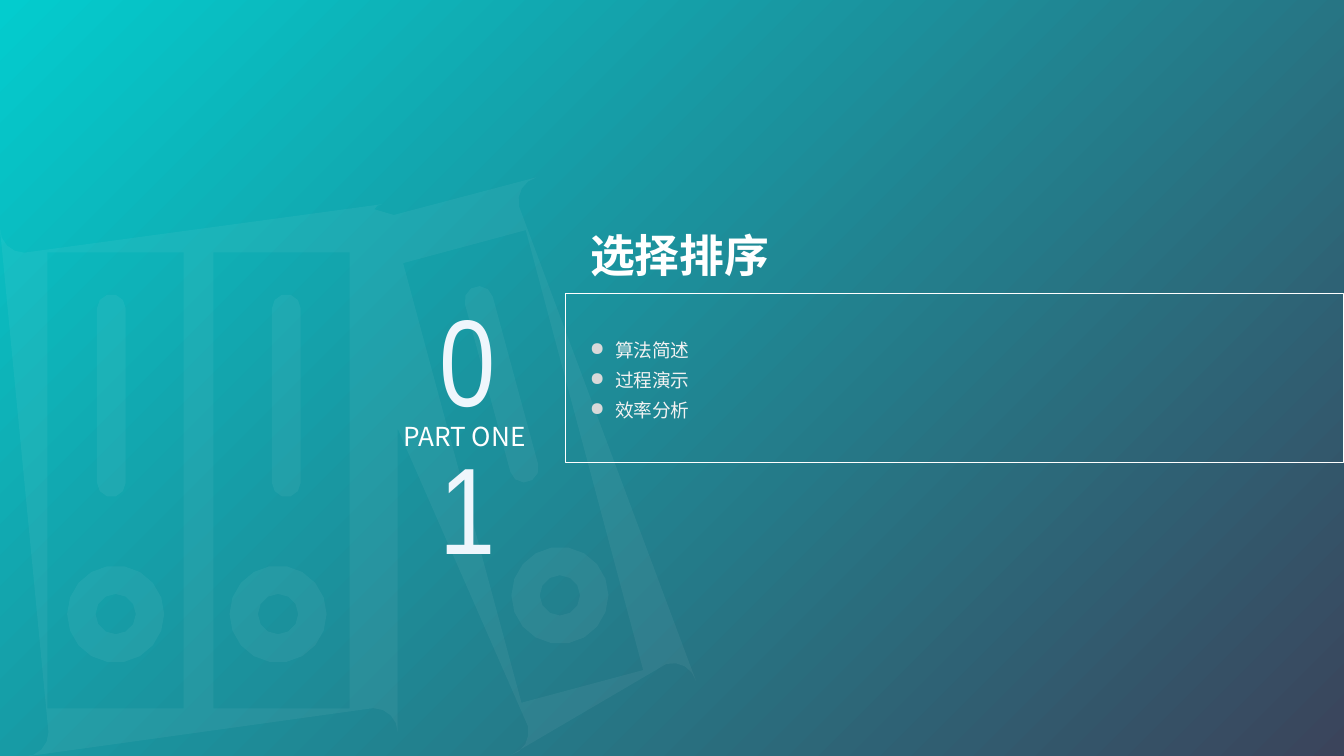
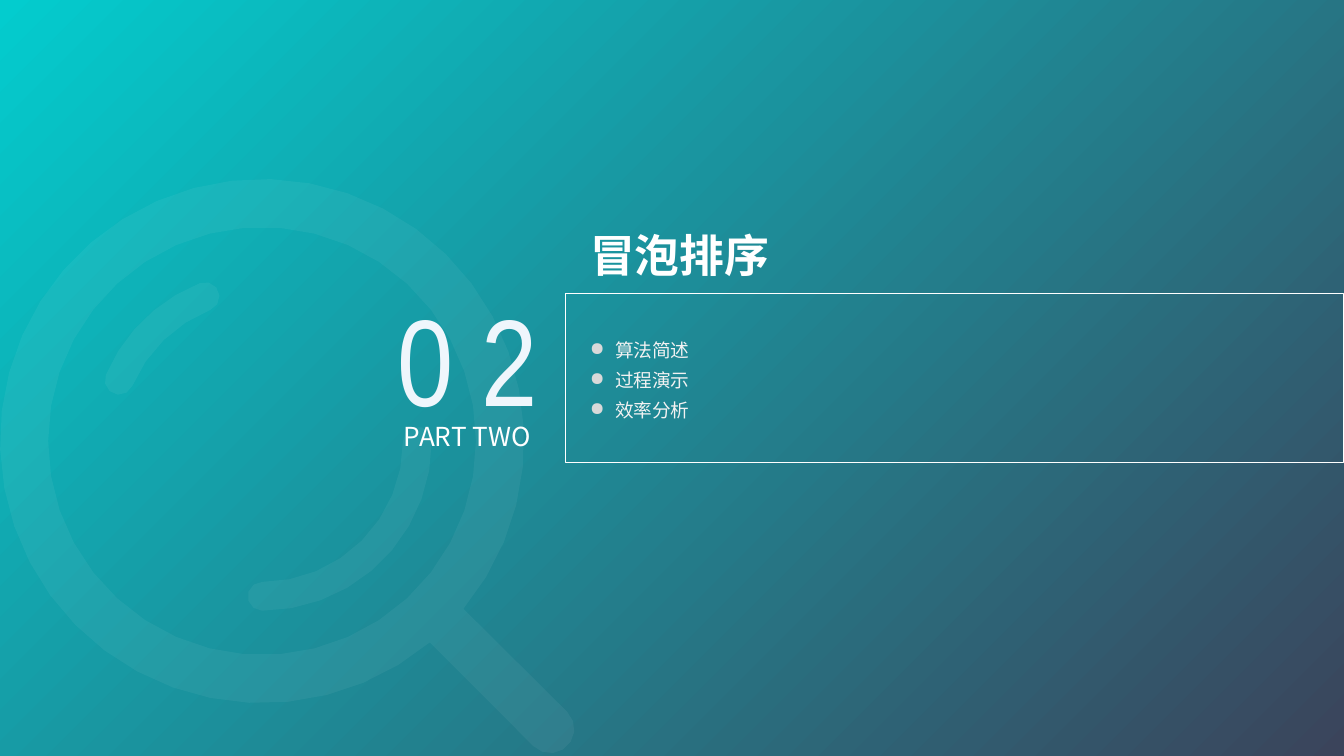
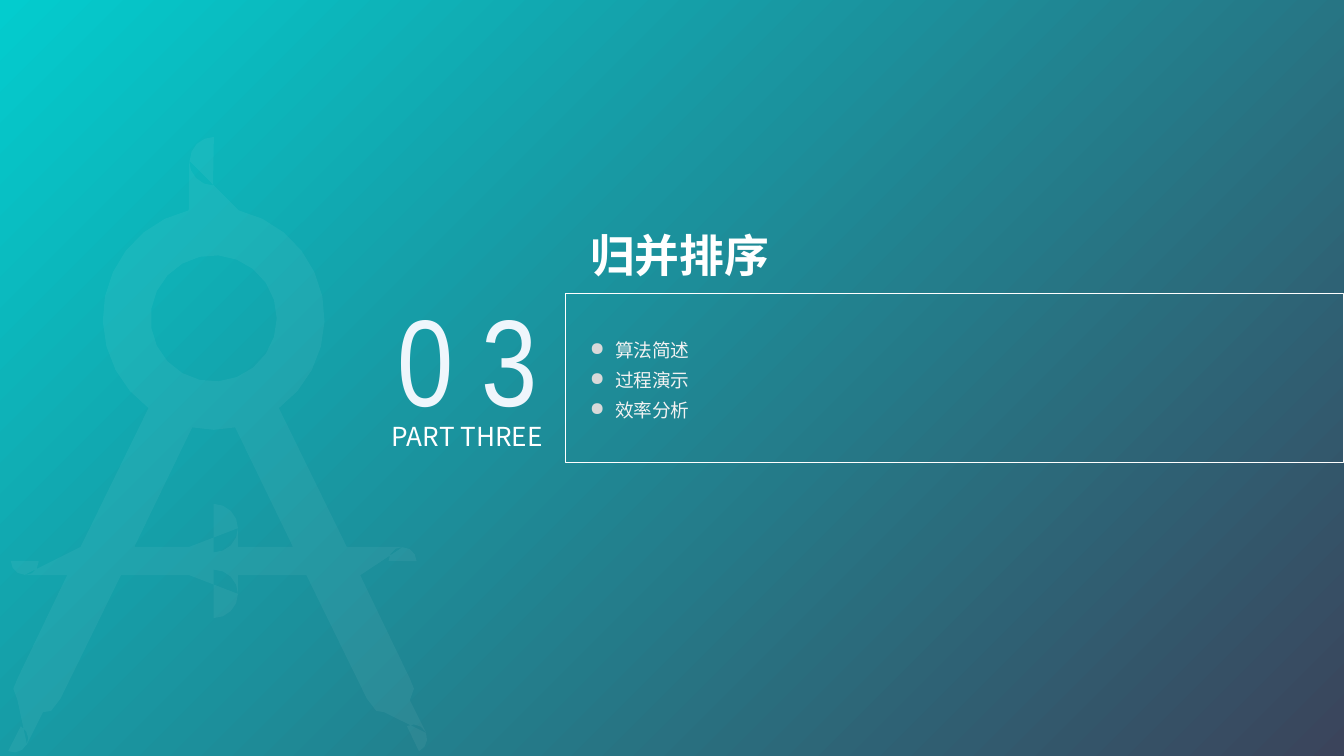
import math

from lxml import etree
from pptx import Presentation
from pptx.dml.color import RGBColor
from pptx.enum import shapes, text
from pptx.oxml.ns import qn
from pptx.util import Pt

# Content: one entry per section; widths are those of the number, part and title boxes
SECTIONS = [
    dict(title="选择排序", number="0 1", part="PART ONE ", icon="binders",
         widths=(87.1, 86.4, 118.8)),
    dict(title="冒泡排序", number="0 2", part="PART TWO", icon="magnifier",
         widths=(95.8, 95, 289.4)),
    dict(title="归并排序", number="0 3", part="PART THREE", icon="compass",
         widths=(97.2, 106.6, 289.4)),
]
TOPICS = ["算法简述", "过程演示", "效率分析"]

# Shared style and layout
SANS, NARROW = "Noto Sans CJK SC", "Arial Narrow"
WHITE, PALE, TOPIC_GREY, BULLET_GREY = "FFFFFF", "EFF6FC", "F2F2F2", "D9D9D9"
BACKDROP = ("03CCCE", "3B445B")
SLIDE_W, SLIDE_H = 720, 405
FRAME_X, FRAME_Y, FRAME_H = 303.2, 157, 90.7
TEXT_X = 309
NUMBER_MID = 250.4
INDENT = 13.5
FLATNESS = 0.4  # largest gap between an arc and its chords


def rgb(value):
    return RGBColor.from_string(value)


def sub(parent, tag, **attributes):
    return etree.SubElement(parent, qn(tag), attributes)


# Contours: each returns a list of (x, y) points
def arc(cx, cy, r, start, end):
    step = 2 * math.degrees(math.acos(1 - FLATNESS / r))
    steps = max(2, math.ceil(abs(end - start) / step))
    angles = [math.radians(start + (end - start) * i / steps) for i in range(steps + 1)]
    return [(cx + r * math.cos(a), cy + r * math.sin(a)) for a in angles]


def circle(cx, cy, r):
    return arc(cx, cy, r, 0, 360)[:-1]


def rounded(corners):
    """Polygon whose corners are (x, y) or (x, y, radius)."""
    points = []
    for i, (x, y, *radius) in enumerate(corners):
        if not radius:
            points.append((x, y))
            continue
        r = radius[0]
        before, after = corners[i - 1], corners[(i + 1) % len(corners)]
        a = math.atan2(before[1] - y, before[0] - x)
        b = math.atan2(after[1] - y, after[0] - x)
        turn = (b - a + math.pi) % (2 * math.pi) - math.pi
        reach = r / math.sin(abs(turn) / 2)
        middle = a + turn / 2
        start = math.degrees(a) - math.copysign(90, turn)
        sweep = math.degrees(turn) - math.copysign(180, turn)
        points += arc(x + reach * math.cos(middle), y + reach * math.sin(middle),
                      r, start, start - sweep)
    return points


def capsule(x1, y1, x2, y2, r):
    heading = math.degrees(math.atan2(y2 - y1, x2 - x1))
    return (arc(x2, y2, r, heading - 90, heading + 90)
            + arc(x1, y1, r, heading + 90, heading + 270))


def band(cx, cy, r, half, start, end):
    """Thick arc with round ends."""
    (x1, y1), *_, (x2, y2) = arc(cx, cy, r, start, end)
    return (arc(cx, cy, r + half, start, end) + arc(x2, y2, half, end, end + 180)
            + arc(cx, cy, r - half, end, start) + arc(x1, y1, half, start + 180, start + 360))


def mirrored(half, axis):
    return rounded(half + [(2 * axis - x, *rest) for x, *rest in reversed(half)])


# Icons: lists of contours, filled by the even-odd rule
def binders():
    outline = rounded([(0, 109.4, 13), (208, 109.4, 5), (211, 115.2), (300, 91.7, 13),
                       (376.3, 377.5, 13), (261, 408, 13), (213.1, 229.7),
                       (213.1, 405.4, 13), (0, 405.4, 13)])
    windows = [[(x, 135.2), (x + 73, 135.2), (x + 73, 379.6), (x, 379.6)]
               for x in (25.4, 114.4)]
    windows.append([(216, 141), (281.7, 123.3), (344.6, 359), (279.4, 376.5)])
    rings = [circle(x, y, r) for x, y in ((62, 329), (149, 329), (300, 319))
             for r in (26, 10.8)]
    labels = [capsule(x, 165.3, x, 258.6, 7.7) for x in (59.7, 153.4)]
    return [outline, *windows, *rings, *labels, capsule(256.6, 161, 280.9, 250.8, 7.7)]


def magnifier():
    cx, cy = 140.4, 236.3
    outline = arc(cx, cy, 140.4, 50.2, 399.8) + arc(294.8, 390.6, 12.9, -45, 135)
    return [outline, circle(cx, cy, 114.6),
            band(cx, cy, 83.2, 7.7, 0, 90), band(cx, cy, 83.2, 7.7, 203, 248.5)]


def compass():
    axis, hinge_y, knob = 114.5, 170.6, 13
    edge = axis + knob
    side = [(edge, 73.4, knob), *arc(axis, hinge_y, 59.4, -77, 54),
            (185.8, 293), (223.2, 293, 7.5), (223.2, 308.2, 7.5), (193, 308.2),
            (219.6, 363.6), (221.8, 369), (219.6, 375.1),
            (231.6, 399.2, 7.5), (217.9, 405.6, 7.5), (205.9, 381.6),
            (201.6, 380.9), (196.6, 374.4), (164.2, 308.2),
            (edge, 308.2), (edge, 331.2, knob)]
    gap = [(axis, 230.3), (126, 229), (157, 293), (edge, 293), (edge, 270, knob)]
    return [mirrored(side, axis), mirrored(gap, axis), circle(axis, hinge_y, 33.8)]


ICONS = dict(binders=binders, magnifier=magnifier, compass=compass)


def draw_icon(slide, contours):
    builder = None
    for contour in contours:
        (x, y), *others = [(Pt(px), Pt(py)) for px, py in contour]
        if builder is None:
            builder = slide.shapes.build_freeform(x, y, scale=1.0)
        else:
            builder.move_to(x, y)
        builder.add_line_segments(others, close=True)
    icon = builder.convert_to_shape()
    icon.shadow.inherit = False
    icon.line.fill.background()
    icon.fill.solid()
    icon.fill.fore_color.rgb = rgb(WHITE)
    sub(icon.fill._xPr.find(".//" + qn("a:srgbClr")), "a:alpha", val="5000")


def add_box(slide, kind, x, y, w, h, line=None):
    box = slide.shapes.add_shape(kind, Pt(x), Pt(y), Pt(w), Pt(h))
    box.shadow.inherit = False
    box.fill.background()
    if line:
        box.line.color.rgb = rgb(line)
        box.line.width = Pt(0.5)
    else:
        box.line.fill.background()
    return box


def write(box, lines, size, color, font=SANS, bold=False, align=text.PP_ALIGN.LEFT,
          spacing=None, bullet=None, outline=None, wrap=True, grow=True):
    frame = box.text_frame
    frame.word_wrap = wrap
    if grow:
        frame.auto_size = text.MSO_AUTO_SIZE.SHAPE_TO_FIT_TEXT
    for i, line in enumerate(lines):
        paragraph = frame.add_paragraph() if i else frame.paragraphs[0]
        paragraph.alignment = align
        if spacing:
            paragraph.line_spacing = Pt(spacing)
        if bullet:
            props = paragraph._p.get_or_add_pPr()
            props.set("marL", str(Pt(INDENT)))
            props.set("indent", str(-Pt(INDENT)))
            sub(sub(props, "a:buClr"), "a:srgbClr", val=bullet)
            sub(props, "a:buChar", char="●")
        run = paragraph.add_run()
        run.text = line
        run.font.size, run.font.bold, run.font.name = Pt(size), bold, font
        run.font.color.rgb = rgb(color)
        props = run._r.get_or_add_rPr()
        sub(props, "a:ea", typeface=font)
        if outline:
            edge = etree.Element(qn("a:ln"), w=str(Pt(0.5)))
            sub(sub(edge, "a:solidFill"), "a:srgbClr", val=outline)
            props.insert(0, edge)


def add_text(slide, x, y, w, h, lines, **style):
    write(slide.shapes.add_textbox(Pt(x), Pt(y), Pt(w), Pt(h)), lines, **style)


def add_section(deck, section):
    slide = deck.slides.add_slide(deck.slide_layouts[6])
    number_w, part_w, title_w = section["widths"]

    # Diagonal gradient from top left to bottom right
    fill = slide.background.fill
    fill.gradient()
    fill.gradient_angle = 315
    for stop, color in zip(fill.gradient_stops, BACKDROP):
        stop.color.rgb = rgb(color)

    draw_icon(slide, ICONS[section["icon"]]())

    # Frame and title
    add_box(slide, shapes.MSO_SHAPE.RECTANGLE, FRAME_X, FRAME_Y,
            SLIDE_W - FRAME_X, FRAME_H, line=WHITE)
    title = add_box(slide, shapes.MSO_SHAPE.ROUNDED_RECTANGLE, TEXT_X, 117.4, title_w, 37.4)
    title.adjustments[0] = 0
    title.text_frame.vertical_anchor = text.MSO_ANCHOR.MIDDLE
    write(title, [section["title"]], size=24, color=WHITE, bold=True, grow=False)

    # Number, part label and topics
    centre = text.PP_ALIGN.CENTER
    add_text(slide, NUMBER_MID - number_w / 2, 148.3, number_w, 87, [section["number"]],
             size=66, color=PALE, font=NARROW, align=centre, outline=PALE)
    add_text(slide, NUMBER_MID - part_w / 2, 221.8, part_w, 24.5, [section["part"]],
             size=14, color=WHITE, align=centre)
    add_text(slide, TEXT_X, 174.2, 67.7, 55.4, TOPICS, size=10, color=TOPIC_GREY,
             spacing=16, bullet=BULLET_GREY, wrap=False)


def main():
    deck = Presentation()
    deck.slide_width, deck.slide_height = Pt(SLIDE_W), Pt(SLIDE_H)
    for section in SECTIONS:
        add_section(deck, section)
    deck.save("out.pptx")


if __name__ == "__main__":
    main()
